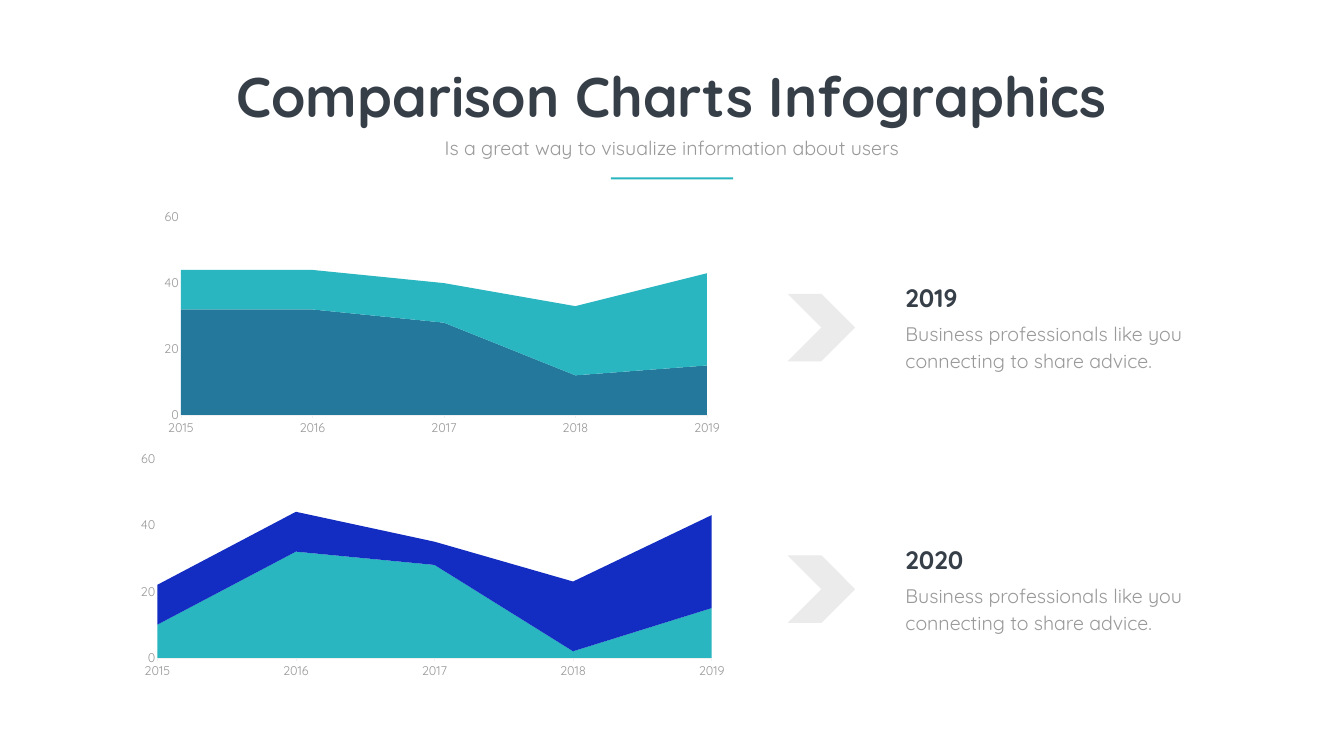
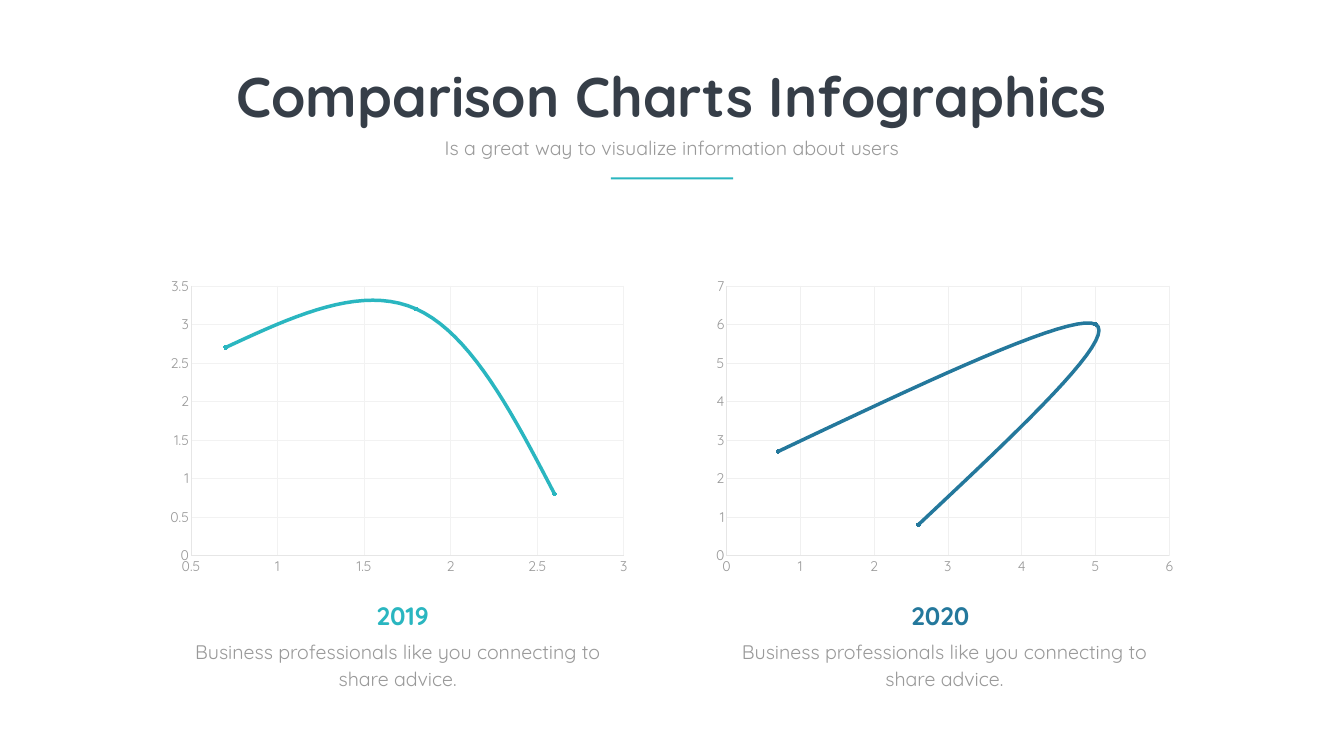
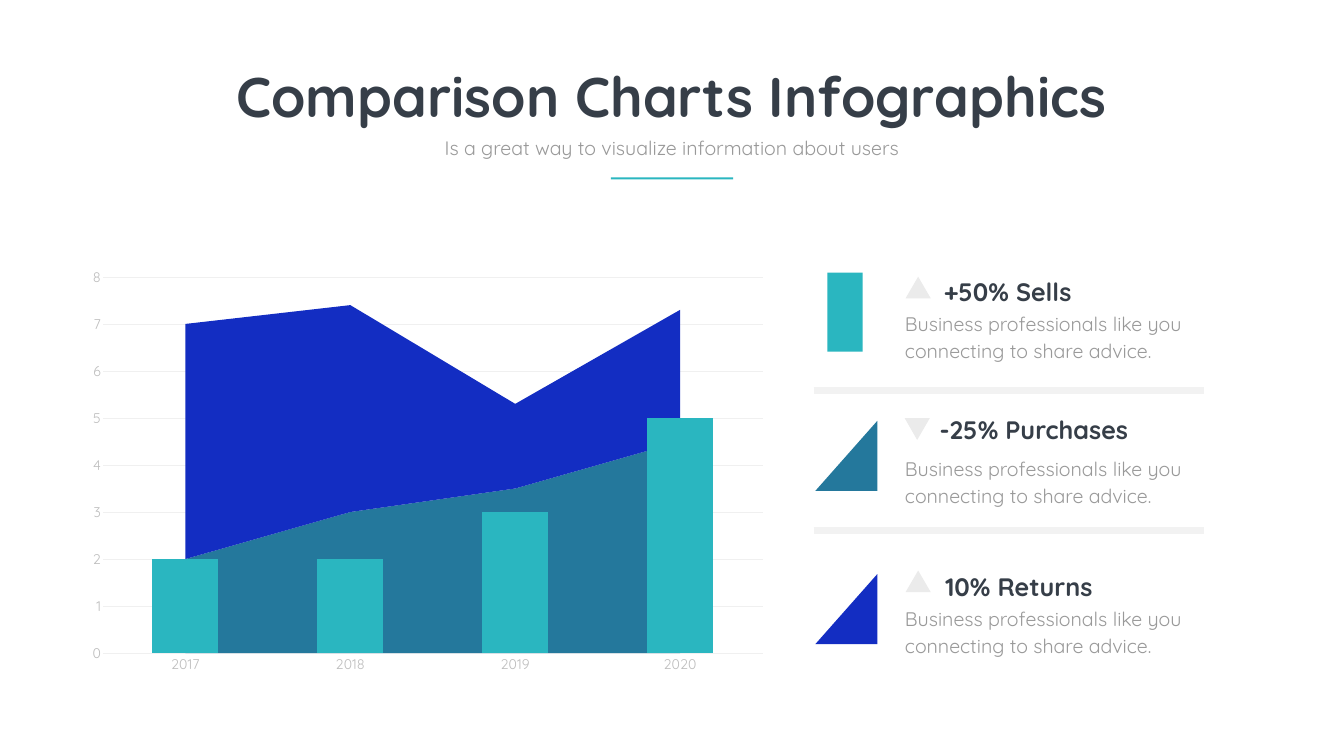
from lxml import etree
from pptx import Presentation
from pptx.chart.data import CategoryChartData as CatData, XyChartData as XyData
from pptx.dml.color import RGBColor as Rgb
from pptx.enum.chart import XL_CHART_TYPE as Kind, XL_MARKER_STYLE as Mark, XL_TICK_MARK as Tick
from pptx.enum.shapes import MSO_CONNECTOR as Link, MSO_SHAPE as Form
from pptx.enum.text import MSO_AUTO_SIZE as Fit, PP_ALIGN as Align
from pptx.oxml import parse_xml
from pptx.oxml.ns import nsdecls, qn
from pptx.util import Inches, Pt

FONT = "Quicksand"
HEX = {
    "white": "FFFFFF", "dark": "363E48", "gray": "999999", "pale": "BDBDBD",
    "teal": "2AB6C0", "steel": "24789C", "blue": "132DC2",
    "arrow": "EBEBEB", "rule": "F2F2F2", "grid": "F0F0F0", "axis": "E6E6E6",
}
TITLE = "Comparison Charts Infographics"
SUB = "Is a great way to visualize information about users"
NOTE = "Business professionals like you connecting to share advice."

YEARS = ["2015", "2016", "2017", "2018", "2019"]
AREAS = [
    ("2019", 4.14, 5.56, (0.086, 0.036, 0.865, 0.833),
     [([32, 32, 28, 12, 15], "steel"), ([12, 12, 12, 21, 28], "teal")]),
    ("2020", 8.85, 10.75, None,
     [([10, 32, 28, 2, 15], "teal"), ([12, 12, 7, 21, 28], "blue")]),
]
CURVES = [
    ("2019", 3.19, 5.6, 3.65, "teal", "teal", "rule", [(0.7, 2.7), (1.8, 3.2), (2.6, 0.8)]),
    ("2020", 14.02, 16.27, 14.5, "steel", "blue", "grid", [(0.7, 2.7), (5, 6), (2.6, 0.8)]),
]
MIX_YEARS = ["2017", "2018", "2019", "2020"]
MIX = [([2, 3, 3.5, 4.5], "steel"), ([5, 4.4, 1.8, 2.8], "blue"), ([2, 2, 3, 5], "teal")]
KEYS = [
    ("+50% Sells", (18.63, 5.44), 6.07, (17.97, 5.49, 0),
     Form.RECTANGLE, (16.42, 5.41, 0.7, 1.57), "teal"),
    ("-25% Purchases", (18.55, 8.18), 8.95, (17.89, 8.19, 300),
     Form.RIGHT_TRIANGLE, (16.18, 8.35, 1.23, 1.39), "steel"),
    ("10% Returns", (18.66, 11.29), 11.92, (17.97, 11.32, 0),
     Form.RIGHT_TRIANGLE, (16.18, 11.39, 1.23, 1.39), "blue"),
]
RULES = [7.75, 10.52]


def rgb(name):
    return Rgb.from_string(HEX[name])


def write(slide, text, box, size, color="gray", bold=False, align=None, lead=None, wrap=True):
    frame = slide.shapes.add_textbox(*map(Inches, box)).text_frame
    frame.word_wrap = wrap
    frame.auto_size = Fit.SHAPE_TO_FIT_TEXT
    frame.text = text
    para = frame.paragraphs[0]
    para.alignment = align
    if lead:
        para.line_spacing = Pt(lead)
    font = para.runs[0].font
    font.name, font.size, font.bold = FONT, Pt(size), bold
    font.color.rgb = rgb(color)


def note(slide, left, top, width, align=None):
    write(slide, NOTE, (left, top, width, 1.18), 28, align=align, lead=38.6)


def label(slide, text, left, top, width=4.78, color="dark", align=None):
    write(slide, text, (left, top, width, 0.71), 36, color, True, align)


def draw(slide, form, box, color):
    shape = slide.shapes.add_shape(form, *map(Inches, box))
    shape.shadow.inherit = False
    shape.fill.solid()
    shape.fill.fore_color.rgb = rgb(color)
    shape.line.fill.background()
    return shape


def head(slide):
    write(slide, TITLE, (4.47, 1.17, 17.71, 1.45), 80, "dark", True, Align.CENTER, wrap=False)
    write(slide, SUB, (8.55, 2.65, 9.56, 0.57), 28, align=Align.CENTER)
    draw(slide, Form.RECTANGLE, (12.12, 3.52, 2.43, 0.04), "teal")


def style(axis, size, color, line=None, grid=None, tick=Tick.NONE):
    axis.major_tick_mark, axis.minor_tick_mark = tick, Tick.NONE
    font = axis.tick_labels.font
    font.name, font.size = FONT, Pt(size)
    font.color.rgb = rgb(color)
    axis.has_major_gridlines = bool(grid)
    if grid:
        stroke(axis.major_gridlines.format.line, grid, 0.75)
    if line:
        stroke(axis.format.line, line, 0.75)
    else:
        axis.format.line.fill.background()


def stroke(line, color, width):
    line.color.rgb = rgb(color)
    line.width = Pt(width)


def plot(slide, kind, box, data, size):
    chart = slide.shapes.add_chart(kind, *map(Inches, box), data).chart
    chart.has_legend = chart.has_title = False
    chart.font.name, chart.font.size = FONT, Pt(size)
    chart.font.color.rgb = rgb("gray")
    chart.plots[0].vary_by_categories = False
    return chart


def stack(slide, box, years, rows, size, cross):
    data = CatData()
    data.categories = years
    for num, (vals, _) in enumerate(rows, 1):
        data.add_series(f"Series {num}", vals)
    chart = plot(slide, Kind.AREA_STACKED, box, data, size)
    for series, (_, color) in zip(chart.plots[0].series, rows):
        series.format.fill.solid()
        series.format.fill.fore_color.rgb = rgb(color)
    for mode in chart.value_axis._element.xpath("c:crossBetween"):
        mode.set("val", cross)
    return chart


def place(chart, spot):
    area = chart._chartSpace.chart.plotArea
    for old in area.xpath("c:layout"):
        area.remove(old)
    parts = "".join(f'<c:{key} val="{val}"/>' for key, val in zip("xywh", spot))
    area.insert(0, parse_xml(
        f'<c:layout {nsdecls("c")}><c:manualLayout><c:layoutTarget val="inner"/>'
        f'<c:xMode val="edge"/><c:yMode val="edge"/>{parts}</c:manualLayout></c:layout>'))


def to_bars(chart):
    area = chart._chartSpace.chart.plotArea.xpath("c:areaChart")[0]
    bars = parse_xml(
        f'<c:barChart {nsdecls("c")}><c:barDir val="col"/><c:grouping val="clustered"/>'
        '<c:varyColors val="0"/></c:barChart>')
    bars.append(area.xpath("c:ser")[-1])
    etree.SubElement(bars, qn("c:gapWidth")).set("val", "150")
    for ident in area.xpath("c:axId"):
        etree.SubElement(bars, qn("c:axId")).set("val", ident.get("val"))
    area.addnext(bars)


def areas(slide):
    for year, top, text_top, spot, rows in AREAS:
        chart = stack(slide, (2.55, top, 12.07, 4.71), YEARS, rows, 18, "midCat")
        style(chart.category_axis, 18, "gray", "grid", tick=Tick.OUTSIDE)
        style(chart.value_axis, 18, "gray")
        chart.value_axis.major_unit = 20
        if spot:
            place(chart, spot)
        draw(slide, Form.CHEVRON, (15.63, text_top + 0.27, 1.34, 1.34), "arrow")
        note(slide, 17.87, text_top + 0.71, 6.27)
        label(slide, year, 17.87, text_top)


def curves(slide):
    for year, left, year_left, note_left, color, dot, grid, points in CURVES:
        data = XyData()
        row = data.add_series("Series 1")
        for x, y in points:
            row.add_data_point(x, y)
        chart = plot(slide, Kind.XY_SCATTER_SMOOTH, (left, 5.37, 9.45, 6.17), data, 20)
        for axis in (chart.category_axis, chart.value_axis):
            style(axis, 20, "gray", "axis", grid)
        series = chart.plots[0].series[0]
        for smooth in series._element.xpath("c:smooth"):
            smooth.set("val", "1")
        stroke(series.format.line, color, 5)
        series.marker.style, series.marker.size = Mark.CIRCLE, 5
        series.marker.format.fill.solid()
        series.marker.format.fill.fore_color.rgb = rgb(dot)
        note(slide, note_left, 12.58, 8.48, Align.CENTER)
        label(slide, year, year_left, 11.87, color=color, align=Align.CENTER)


def mix(slide):
    chart = stack(slide, (1.56, 5.15, 13.85, 8.37), MIX_YEARS, MIX, 20, "between")
    style(chart.category_axis, 20, "pale", "grid")
    style(chart.value_axis, 20, "pale", grid="grid")
    to_bars(chart)
    for y in RULES:
        rule = slide.shapes.add_connector(
            Link.STRAIGHT, Inches(16.15), Inches(y), Inches(23.9), Inches(y))
        stroke(rule.line, "rule", 10)
        etree.SubElement(rule._element.spPr, qn("a:effectLst"))
    for text, spot, note_top, (x, y, turn), form, box, color in KEYS:
        icon = draw(slide, form, box, color)
        if form == Form.RIGHT_TRIANGLE:
            icon._element.spPr.xfrm.set("flipH", "1")
        draw(slide, Form.ISOSCELES_TRIANGLE, (x, y, 0.5, 0.43), "arrow").rotation = turn
        note(slide, 17.86, note_top, 6.32)
        label(slide, text, *spot, width=5.2)


def main():
    deck = Presentation()
    deck.slide_width, deck.slide_height = Inches(26.67), Inches(15)
    for fill in (areas, curves, mix):
        slide = deck.slides.add_slide(deck.slide_layouts[6])
        slide.background.fill.solid()
        slide.background.fill.fore_color.rgb = rgb("white")
        fill(slide)
        head(slide)
    deck.save("out.pptx")


if __name__ == "__main__":
    main()
